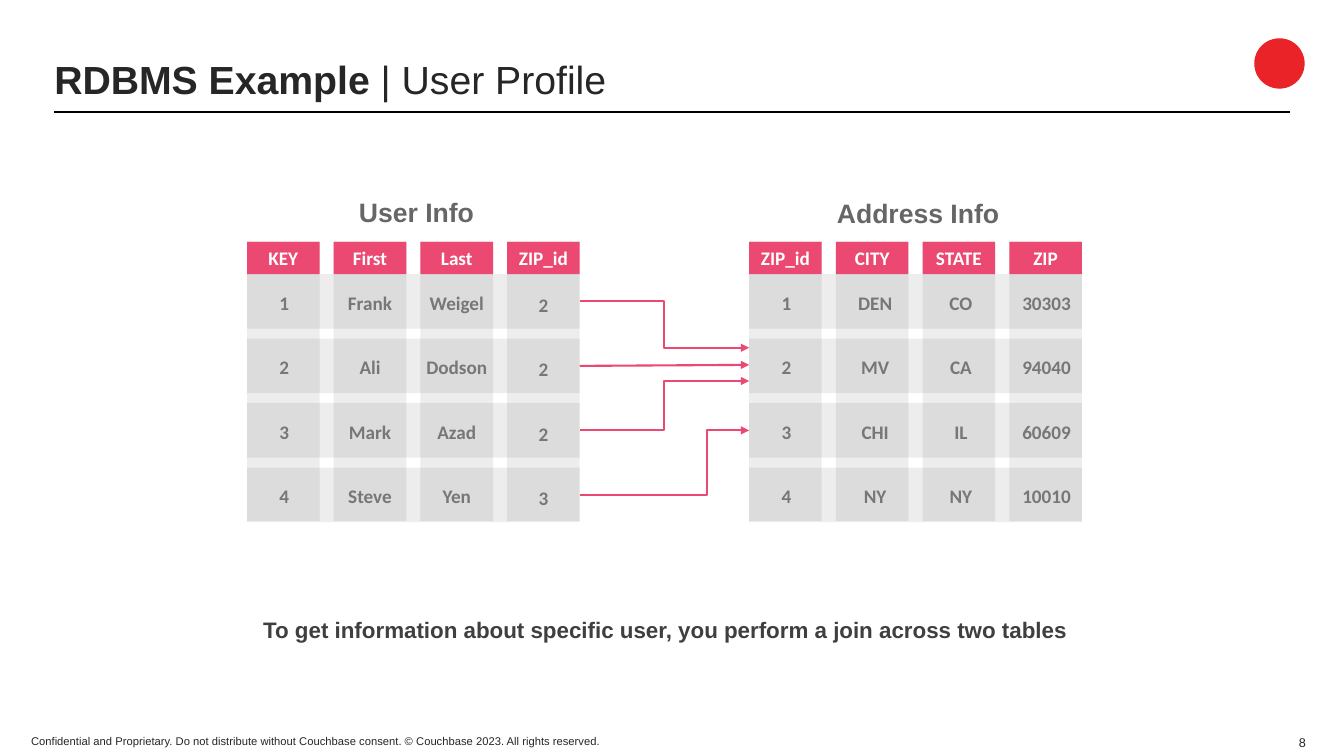
from lxml import etree
from pptx import Presentation
from pptx.dml.color import RGBColor
from pptx.enum.shapes import MSO_CONNECTOR, MSO_SHAPE
from pptx.enum.text import MSO_ANCHOR, PP_ALIGN
from pptx.oxml.ns import qn
from pptx.util import Inches, Pt

RECT, OVAL = MSO_SHAPE.RECTANGLE, MSO_SHAPE.OVAL
LINE, ELBOW = MSO_CONNECTOR.STRAIGHT, MSO_CONNECTOR.ELBOW
LEFT, MID, RIGHT = PP_ALIGN.LEFT, PP_ALIGN.CENTER, PP_ALIGN.RIGHT
TOP, CENTER, BOTTOM = MSO_ANCHOR.TOP, MSO_ANCHOR.MIDDLE, MSO_ANCHOR.BOTTOM

THEME = {
    "sans": "Arial", "cell": "Calibri",
    "ink": "262626", "note": "3F3F3F", "head": "666666", "gray": "777777",
    "pink": "EB4971", "red": "EA2328", "white": "FFFFFF", "black": "000000",
    "title": 28, "label": 19, "body": 16, "grid": 13.7, "page": 9, "small": 8,
}

TITLE = ["RDBMS Example ", "| User Profile"]
NOTE = "To get information about specific user, you perform a join across two tables "
LEGAL = ("Confidential and Proprietary. Do not distribute without Couchbase consent. "
         "© Couchbase 2023. All rights reserved.")
PAGE = "8"

TABLES = [
    {"name": "User Info", "left": 2.45, "label": (3.32, 1.89, 1.62),
     "heads": ["KEY", "First", "Last", "ZIP_id"],
     "mids": [2.82, 3.67, 4.53, 5.39], "drops": [0, 0, 0, 0.02],
     "rows": [["1", "Frank", "Weigel", "2"], ["2", "Ali", "Dodson", "2"],
              ["3", "Mark", "Azad", "2"], ["4", "Steve", "Yen", "3"]]},
    {"name": "Address Info", "left": 7.43, "label": (8.03, 1.9, 2.15),
     "heads": ["ZIP_id", "CITY", "STATE", "ZIP"],
     "mids": [7.8, 8.68, 9.53, 10.38], "drops": [0, 0, 0, 0],
     "rows": [["1", "DEN", "CO", "30303"], ["2", "MV", "CA", "94040"],
              ["3", "CHI", "IL", "60609"], ["4", "NY", "NY", "10010"]]},
]
LINKS = [(LINE, 3.63, 3.62, None), (ELBOW, 2.99, 3.45, 50000),
         (ELBOW, 4.27, 3.78, 50000), (ELBOW, 4.91, 4.27, 75100)]

COL, STEP = 0.72, 0.86
HEAD_Y, HEAD_H = 2.4, 0.32
ROW_Y, ROW_H, PITCH = 2.72, 0.54, 0.64
CELL_Y, CELL_H = 2.84, 0.31
LINK_L, LINK_R = 5.75, 7.43

deck = Presentation()
deck.slide_width, deck.slide_height = Inches(13.33), Inches(7.5)
slide = deck.slides.add_slide(deck.slide_layouts[6])


def rgb(key):
    return RGBColor.from_string(THEME[key])


def write(shape, parts, size, color, font="sans", bold=False, align=LEFT,
          anchor=TOP, pad=(0.1, 0.05)):
    frame = shape.text_frame
    frame.word_wrap = True
    frame.vertical_anchor = anchor
    frame.margin_left = frame.margin_right = Inches(pad[0])
    frame.margin_top = frame.margin_bottom = Inches(pad[1])
    para = frame.paragraphs[0]
    para.alignment = align
    for part in parts:
        run = para.add_run()
        run.text = part
        run.font.name = THEME[font]
        run.font.size = Pt(THEME[size])
        run.font.bold = bold
        run.font.color.rgb = rgb(color)
    return para


def text(box, parts, *args, **opts):
    shape = slide.shapes.add_textbox(*map(Inches, box))
    return write(shape, parts, *args, **opts)


def block(box, color, kind=RECT, alpha=None):
    shape = slide.shapes.add_shape(kind, *map(Inches, box))
    shape.shadow.inherit = False
    shape.fill.solid()
    shape.fill.fore_color.rgb = rgb(color)
    shape.line.fill.background()
    if alpha:
        tint = shape.fill._xPr.find(".//" + qn("a:srgbClr"))
        etree.SubElement(tint, qn("a:alpha"), val=str(alpha * 1000))
    return shape


def link(kind, start, end, color, width, arrow=False, bend=None):
    wire = slide.shapes.add_connector(kind, *map(Inches, start + end))
    wire.line.color.rgb = rgb(color)
    wire.line.width = Pt(width)
    props = wire._element.spPr
    if arrow:
        etree.SubElement(props.find(qn("a:ln")), qn("a:tailEnd"), type="triangle")
    if bend:
        guides = props.find(qn("a:prstGeom")).find(qn("a:avLst"))
        etree.SubElement(guides, qn("a:gd"), name="adj1", fmla=f"val {bend}")
    etree.SubElement(props, qn("a:effectLst"))


def table(data):
    left, rows = data["left"], data["rows"]
    span = 3 * STEP + COL
    cols = [left + STEP * i for i in range(len(data["heads"]))]
    for x in cols:
        block((x, 2.39, COL, 2.78), "black", alpha=7)
    for i in range(len(rows)):
        block((left, ROW_Y + PITCH * i, span, ROW_H), "black", alpha=7)
    for x, head in zip(cols, data["heads"]):
        shape = block((x, HEAD_Y, COL, HEAD_H), "pink")
        write(shape, [head], "grid", "white", "cell", True, MID, CENTER, (0, 0.07))
    for i, row in enumerate(rows):
        for mid, drop, word in zip(data["mids"], data["drops"], row):
            y = CELL_Y + PITCH * i + drop
            text((mid - COL / 2, y, COL, CELL_H), [word], "grid", "gray",
                 "cell", True, MID, pad=(0, 0.05))
    text((*data["label"], 0.42), [data["name"]], "label", "head",
         bold=True, align=MID)


text((0.21, 7.23, 5.97, 0.24), [LEGAL], "small", "ink", anchor=BOTTOM)
text((12.69, 7.24, 0.36, 0.25), [PAGE], "page", "ink", align=RIGHT, anchor=BOTTOM)
block((12.44, 0.38, 0.5, 0.5), "red", OVAL)
link(LINE, (0.54, 1.11), (12.79, 1.11), "black", 1)
title = text((0.44, 0.51, 11.96, 0.6), TITLE, "title", "ink", anchor=CENTER)
title.line_spacing = 0.9
title.runs[0].font.bold = True
text((2.28, 5.98, 8.7, 0.48), [NOTE], "body", "note", bold=True, align=MID,
     pad=(0.13, 0.13))
for data in TABLES:
    table(data)
for kind, start, end, bend in LINKS:
    link(kind, (LINK_L, start), (LINK_R, end), "pink", 1.5, True, bend)

deck.save("out.pptx")
